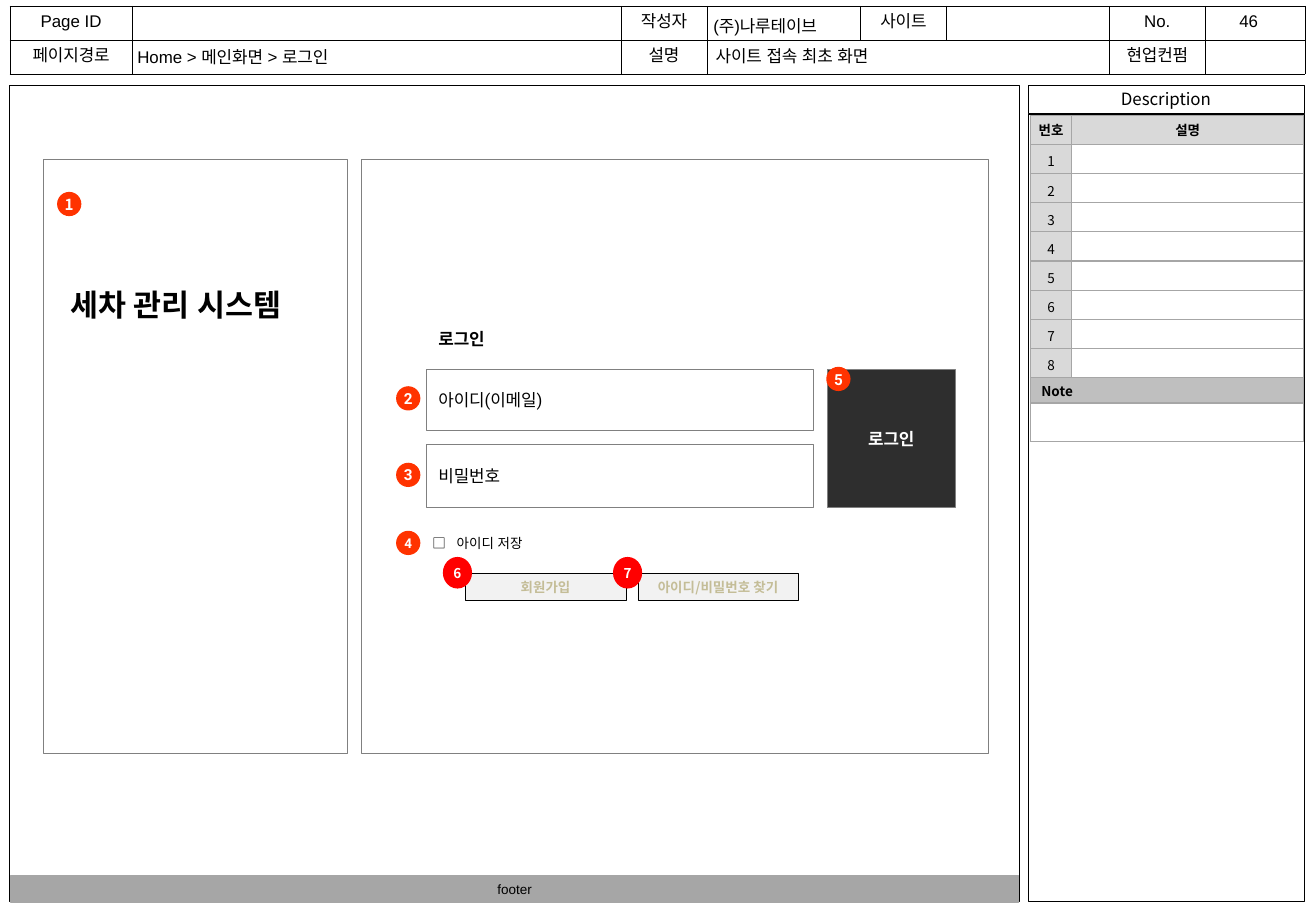
import pptx
import pptx.util
import pptx.dml.color
import pptx.enum.shapes
import pptx.enum.text
import pptx.oxml
import pptx.oxml.ns
import lxml.etree

Inches, Pt = pptx.util.Inches, pptx.util.Pt
qn = pptx.oxml.ns.qn
rgb = pptx.dml.color.RGBColor.from_string
SHAPE = pptx.enum.shapes.MSO_SHAPE
ALIGN = {"l": pptx.enum.text.PP_ALIGN.LEFT, "c": pptx.enum.text.PP_ALIGN.CENTER}
ANCHOR = {"t": pptx.enum.text.MSO_ANCHOR.TOP, "m": pptx.enum.text.MSO_ANCHOR.MIDDLE}
C = {"black": "000000", "white": "FFFFFF", "gray": "808080", "mid": "A6A6A6",
     "note": "BFBFBF", "head": "D9D9D9", "pale": "F2F2F2", "dark": "2E2E2E",
     "orange": "FF3300", "red": "FF0000", "tan": "C4BD97"}
NOTO = "Noto Sans CJK KR"

prs = pptx.Presentation()
prs.slide_width, prs.slide_height = Inches(10.83), Inches(7.5)
s = prs.slides.add_slide(prs.slide_layouts[6])


def write(tf, text, size=10, font="Arial", color="black", bold=False, align="l", spacing=None):
    p = tf.paragraphs[0]
    p.alignment = ALIGN[align]
    if spacing:
        p.line_spacing = spacing
    if not text:
        # An empty paragraph takes its height from its end mark
        lxml.etree.SubElement(p._p, qn("a:endParaRPr")).set("sz", str(size * 100))
        return
    r = p.add_run()
    r.text = text
    r.font.size, r.font.name, r.font.bold = Pt(size), font, bold
    r.font.color.rgb = rgb(C[color])
    lxml.etree.SubElement(r._r.get_or_add_rPr(), qn("a:ea")).set("typeface", font)


def box(x, y, w, h, text="", kind=None, fill=None, line=None, weight=0.25,
        anchor="m", inset=0.1, wrap=True, **fmt):
    at = [Inches(v) for v in (x, y, w, h)]
    if kind is None:
        sp = s.shapes.add_textbox(*at)
    else:
        sp = s.shapes.add_shape(kind, *at)
        sp.shadow.inherit = False
        if fill:
            sp.fill.solid()
            sp.fill.fore_color.rgb = rgb(C[fill])
        else:
            sp.fill.background()
        if line:
            sp.line.color.rgb = rgb(C[line])
            sp.line.width = Pt(weight)
        else:
            sp.line.fill.background()
    tf = sp.text_frame
    tf.word_wrap = wrap
    tf.vertical_anchor = ANCHOR[anchor]
    tf.margin_left = tf.margin_right = Inches(inset)
    tf.margin_top = tf.margin_bottom = Inches(min(inset, 0.05))
    if text:
        write(tf, text, **fmt)
    return sp


# Page header table
box(10.1, 0.04, 0.38, 0.27, "46", anchor="t", wrap=False)
header = s.shapes.add_table(2, 8, Inches(0.08), Inches(0.05), Inches(10.65), Inches(0.55)).table
for col, w in zip(header.columns, (1.01, 4.02, 0.71, 1.26, 0.71, 1.34, 0.79, 0.82)):
    col.width = Inches(w)
labels = [["Page ID", "", "작성자", "", "사이트", "", "No.", ""],
          ["페이지경로", "", "설명", "", "", "", "현업컨펌", ""]]
for i, row in enumerate(labels):
    header.rows[i].height = Inches(0.28)
    for j, text in enumerate(row):
        cell = header.cell(i, j)
        cell.margin_top, cell.margin_bottom = Inches(0.05), 0
        write(cell.text_frame, text, align="c")
header.cell(1, 3).merge(header.cell(1, 5))

# Page frames
box(8.46, 0.94, 2.27, 6.48, kind=SHAPE.RECTANGLE, fill="white", line="black")
box(8.46, 0.7, 2.27, 0.23, "Description", kind=SHAPE.RECTANGLE, fill="white", line="black",
    font=NOTO, align="c")
box(0.08, 0.7, 8.31, 6.72, kind=SHAPE.RECTANGLE, fill="white", line="black")

# Header values
for x, y, w, text in ((5.85, 0.34, 3.23, "사이트 접속 최초 화면"),
                      (1.09, 0.35, 3.98, "Home > 메인화면 > 로그인"),
                      (5.83, 0.09, 1.17, "(주)나루테이브")):
    box(x, y, w, 0.24, text, inset=0.04)

# Login panels and form
for x, w in ((0.36, 2.5), (2.97, 5.16)):
    box(x, 1.31, w, 4.89, kind=SHAPE.RECTANGLE, line="gray")
box(0.48, 2.16, 2.33, 0.48, "세차 관리 시스템", anchor="t", size=18, font="Roboto",
    bold=True, spacing=1.5)
box(3.51, 2.57, 0.98, 0.35, "로그인", anchor="t", font="Roboto", bold=True, spacing=1.5)
for y, h, text in ((3.04, 0.5, "아이디(이메일)"), (3.66, 0.52, "비밀번호")):
    box(3.51, y, 3.18, h, text, kind=SHAPE.RECTANGLE, line="gray", font="Roboto")
box(6.81, 3.04, 1.05, 1.14, "로그인", kind=SHAPE.RECTANGLE, fill="dark", line="gray",
    font="Roboto", color="white", bold=True, align="c")

# Save-ID checkbox, its label set on a tab stop
sp = box(3.46, 4.36, 1.01, 0.24, "□\t아이디 저장", anchor="t", wrap=False, size=8, font="Roboto")
tabs = lxml.etree.SubElement(sp.text_frame.paragraphs[0]._p.get_or_add_pPr(), qn("a:tabLst"))
tab = lxml.etree.SubElement(tabs, qn("a:tab"))
tab.set("pos", str(Inches(0.2)))
tab.set("algn", "l")

# Description table
desc = s.shapes.add_table(11, 2, Inches(8.48), Inches(0.95), Inches(2.25), Inches(2.65)).table
desc.columns[0].width, desc.columns[1].width = Inches(0.34), Inches(1.91)
rows = [("번호", "설명")] + [(str(n), "") for n in range(1, 9)] + [("Note", ""), ("", "")]
for i, row in enumerate(rows):
    desc.rows[i].height = Inches({9: 0.21, 10: 0.32}.get(i, 0.24))
    numbered = 1 <= i <= 8
    for j, text in enumerate(row):
        cell = desc.cell(i, j)
        cell.vertical_anchor = ANCHOR["m"]
        cell.margin_left = cell.margin_right = Inches(0.09 if i == 9 else 0.04)
        cell.margin_top = Inches(0.05 if numbered else 0.02)
        cell.margin_bottom = Inches(0.02)
        write(cell.text_frame, text, size=8, font=NOTO, bold=not numbered,
              align="l" if i == 9 else "c")
        fill = "note" if i == 9 else "head" if i == 0 or (numbered and j == 0) else "white"
        cell.fill.solid()
        cell.fill.fore_color.rgb = rgb(C[fill])
for i in (9, 10):
    desc.cell(i, 0).merge(desc.cell(i, 1))

# Cell borders
for table, color, weight in ((header, "black", 0.25), (desc, "mid", 0.75)):
    table.first_row = table.horz_banding = False
    for cell in table.iter_cells():
        if table is header:
            cell.fill.background()
        tcPr = cell._tc.get_or_add_tcPr()
        for k, side in enumerate(("a:lnL", "a:lnR", "a:lnT", "a:lnB")):
            ln = lxml.etree.Element(qn(side))
            ln.set("w", str(Pt(weight)))
            solid = lxml.etree.SubElement(ln, qn("a:solidFill"))
            lxml.etree.SubElement(solid, qn("a:srgbClr")).set("val", C[color])
            tcPr.insert(k, ln)

# Footer and link buttons
box(0.09, 7.21, 8.29, 0.22, "footer", kind=SHAPE.RECTANGLE, fill="mid", line="mid",
    weight=0.75, size=8, align="c")
for x, text in ((5.25, "아이디/비밀번호 찾기"), (3.83, "회원가입")):
    box(x, 4.72, 1.32, 0.22, text, kind=SHAPE.RECTANGLE, fill="pale", line="black",
        inset=0.02, size=8, font=NOTO, color="tan", bold=True, align="c")

# Numbered badges
for text, x, y, size, font in (("1", 0.47, 1.58, 9, NOTO), ("2", 3.26, 3.18, 9, "Roboto"),
                               ("3", 3.26, 3.81, 9, "Roboto"), ("4", 3.26, 4.37, 8, "Roboto"),
                               ("5", 6.8, 3.02, 9, "Roboto")):
    box(x, y, 0.2, 0.2, text, kind=SHAPE.OVAL, fill="orange", inset=0, wrap=False,
        size=size, font=font, color="white", bold=True, align="c")
for text, x in (("6", 3.65), ("7", 5.05)):
    box(x, 4.59, 0.23, 0.25, text, kind=SHAPE.OVAL, fill="red", line="red", weight=0.75,
        inset=0, wrap=False, size=8, font=NOTO, color="white", bold=True, align="c")

prs.save("out.pptx")
